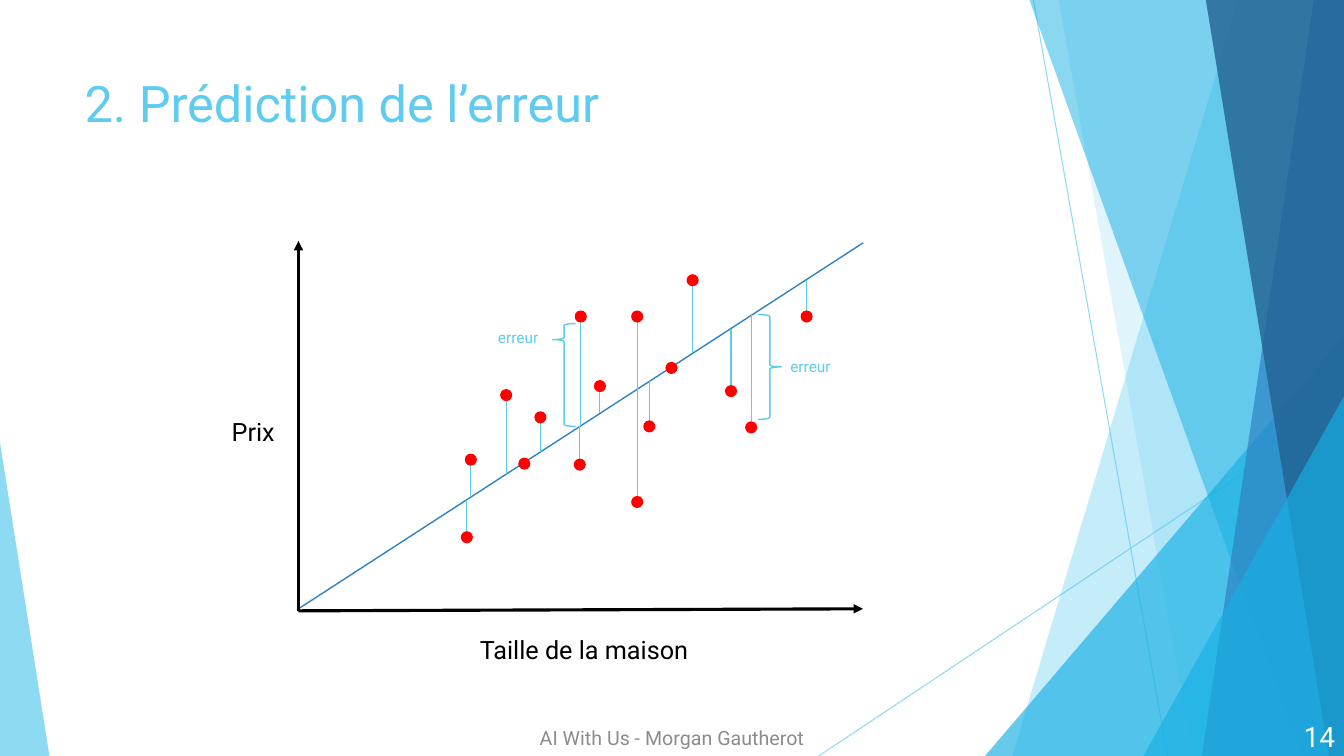
from lxml import etree
from pptx import Presentation
from pptx.dml.color import RGBColor
from pptx.enum.shapes import MSO_CONNECTOR, MSO_SHAPE
from pptx.enum.text import MSO_ANCHOR, MSO_AUTO_SIZE, PP_ALIGN
from pptx.oxml.ns import qn
from pptx.util import Inches, Pt

STRAIGHT = MSO_CONNECTOR.STRAIGHT
TRIANGLE, BRACE, OVAL = MSO_SHAPE.ISOSCELES_TRIANGLE, MSO_SHAPE.LEFT_BRACE, MSO_SHAPE.OVAL
TOP, MIDDLE = MSO_ANCHOR.TOP, MSO_ANCHOR.MIDDLE
LEFT, CENTER, RIGHT = PP_ALIGN.LEFT, PP_ALIGN.CENTER, PP_ALIGN.RIGHT
FONT = "Roboto"
SKY, CYAN, BLUE, NAVY = "5FCBEF", "17B0E4", "2E83C3", "226292"
RED, BLACK, WHITE, GREY = "FF0000", "000000", "FFFFFF", "8C8C8C"
rgb = RGBColor.from_string

prs = Presentation()
prs.slide_width, prs.slide_height = Inches(13.33), Inches(7.5)
slide = prs.slides.add_slide(prs.slide_layouts[5])
shapes = slide.shapes


def paint(s, colour, alpha=100, width=None):
    """Outline the shape when a width is given, otherwise fill it."""
    fill = s.line.fill if width else s.fill
    fill.solid()
    fill.fore_color.rgb = rgb(colour)
    if width:
        s.line.width = Pt(width)
    else:
        s.line.fill.background()
    if alpha < 100:
        for clr in s._element.spPr.iter(qn("a:srgbClr")):
            etree.SubElement(clr, qn("a:alpha"), val=str(alpha * 1000))


def add_line(x1, y1, x2, y2, colour, width, alpha=100, arrow=False):
    s = shapes.add_connector(STRAIGHT, Inches(x1), Inches(y1), Inches(x2), Inches(y2))
    paint(s, colour, alpha, width)
    if arrow:
        etree.SubElement(s.line._get_or_add_ln(), qn("a:tailEnd"), type="triangle")
    etree.SubElement(s._element.spPr, qn("a:effectLst"))


# Background facets, back to front: quads are (top left x, bottom left x,
# bottom right x), triangles are (left, top, width, height, apex)
add_line(10.25, 0, 11.58, 7.5, SKY, 0.75, 70)
add_line(13.33, 4.03, 8.12, 7.5, SKY, 0.75, 70)
facets = [
    ((12.28, 10.04), SKY, 36),
    ((10.5, 11.83), SKY, 20),
    ((9.77, 3.33, 3.56, 4.17, 1), CYAN, 66),
    ((10.21, 12.91), CYAN, 50),
    ((13.03, 11.92), BLUE, 70),
    ((11.96, 13.18), NAVY, 80),
    ((11.34, 3.93, 1.99, 3.57, 1), CYAN, 66),
    ((0, 4.39, 0.49, 3.11, 0), SKY, 70),
]
for geometry, colour, alpha in facets:
    if len(geometry) == 2:
        top_x, bottom_x = geometry
        builder = shapes.build_freeform(Inches(top_x), 0)
        corners = [(13.33, 0), (13.33, 7.5), (bottom_x, 7.5)]
        builder.add_line_segments([(Inches(x), Inches(y)) for x, y in corners])
        s = builder.convert_to_shape()
    else:
        *box, apex = geometry
        s = shapes.add_shape(TRIANGLE, *map(Inches, box))
        s.adjustments[0] = apex
    s.shadow.inherit = False
    paint(s, colour, alpha)

# Regression line
x0, y0, x1, y1 = 2.96, 6.04, 8.56, 2.41
slope = (y1 - y0) / (x1 - x0)
add_line(x0, y0, x1, y1, BLUE, 1)

# Each house is a dot, joined to the regression line by its error
houses = [
    (8, 3.14), (7.25, 3.88), (7.45, 4.24), (6.87, 2.78), (6.32, 3.14), (6.44, 4.23),
    (6.32, 4.98), (5.75, 4.61), (6.66, 3.65), (5.95, 3.83), (5.76, 3.14), (5.02, 3.92),
    (5.36, 4.14), (5.2, 4.6), (4.67, 4.56), (4.63, 5.33),
]
for x, y in houses:
    predicted = y0 + slope * (x - x0)
    if abs(predicted - y) > 0.1:
        add_line(x, y, x, predicted, SKY, 0.75)

# Braces around two errors
for box, rotation, adjustments in [
    ((7.52, 3.12, 0.23, 1.04), 180, (0.083, 0.5)),
    ((5.48, 3.21, 0.23, 1.02), 0, (0.083, 0.156)),
]:
    s = shapes.add_shape(BRACE, *map(Inches, box))
    s.rotation = rotation
    s.adjustments[0], s.adjustments[1] = adjustments
    s.shadow.inherit = False
    s.fill.background()
    paint(s, SKY, width=1)

size = 0.12
for x, y in houses:
    s = shapes.add_shape(OVAL, Inches(x - size / 2), Inches(y - size / 2), Inches(size), Inches(size))
    s.shadow.inherit = False
    paint(s, RED)

# Axes
add_line(2.96, 6.06, 2.96, 2.39, BLACK, 2.25, arrow=True)
add_line(2.96, 6.06, 8.56, 6.04, BLACK, 2.25, arrow=True)

# Title, labels, footer and page number
texts = [
    ("2. Prédiction de l’erreur", (0.74, 0.67, 9.4, 1.44), 36, SKY, LEFT, TOP, True),
    ("erreur", (4.84, 3.21, 0.63, 0.29), 11, SKY, LEFT, TOP, False),
    ("erreur", (7.74, 3.49, 0.63, 0.29), 11, SKY, LEFT, TOP, False),
    ("Prix", (2.2, 4.08, 0.63, 0.4), 18, BLACK, LEFT, TOP, False),
    ("Taille de la maison", (4.66, 6.24, 2.31, 0.4), 18, BLACK, LEFT, TOP, False),
    ("AI With Us - Morgan Gautherot", (3.22, 7.12, 6.89, 0.4), 14, GREY, CENTER, MIDDLE, True),
    ("14", (12.59, 7.1, 0.75, 0.4), 20, WHITE, RIGHT, MIDDLE, True),
]
for i, (text, box, points, colour, align, anchor, wrap) in enumerate(texts):
    left, top, width, height = map(Inches, box)
    if i == 0:
        s = shapes.title
        s.left, s.top, s.width, s.height = left, top, width, height
    else:
        s = shapes.add_textbox(left, top, width, height)
    tf = s.text_frame
    tf.word_wrap = wrap
    tf.auto_size = MSO_AUTO_SIZE.NONE if wrap else MSO_AUTO_SIZE.SHAPE_TO_FIT_TEXT
    tf.vertical_anchor = anchor
    p = tf.paragraphs[0]
    p.alignment = align
    r = p.add_run()
    r.text = text
    r.font.name, r.font.size = FONT, Pt(points)
    r.font.color.rgb = rgb(colour)

# The title sits behind the facets in the tree, so nothing else needs moving
prs.save("out.pptx")
